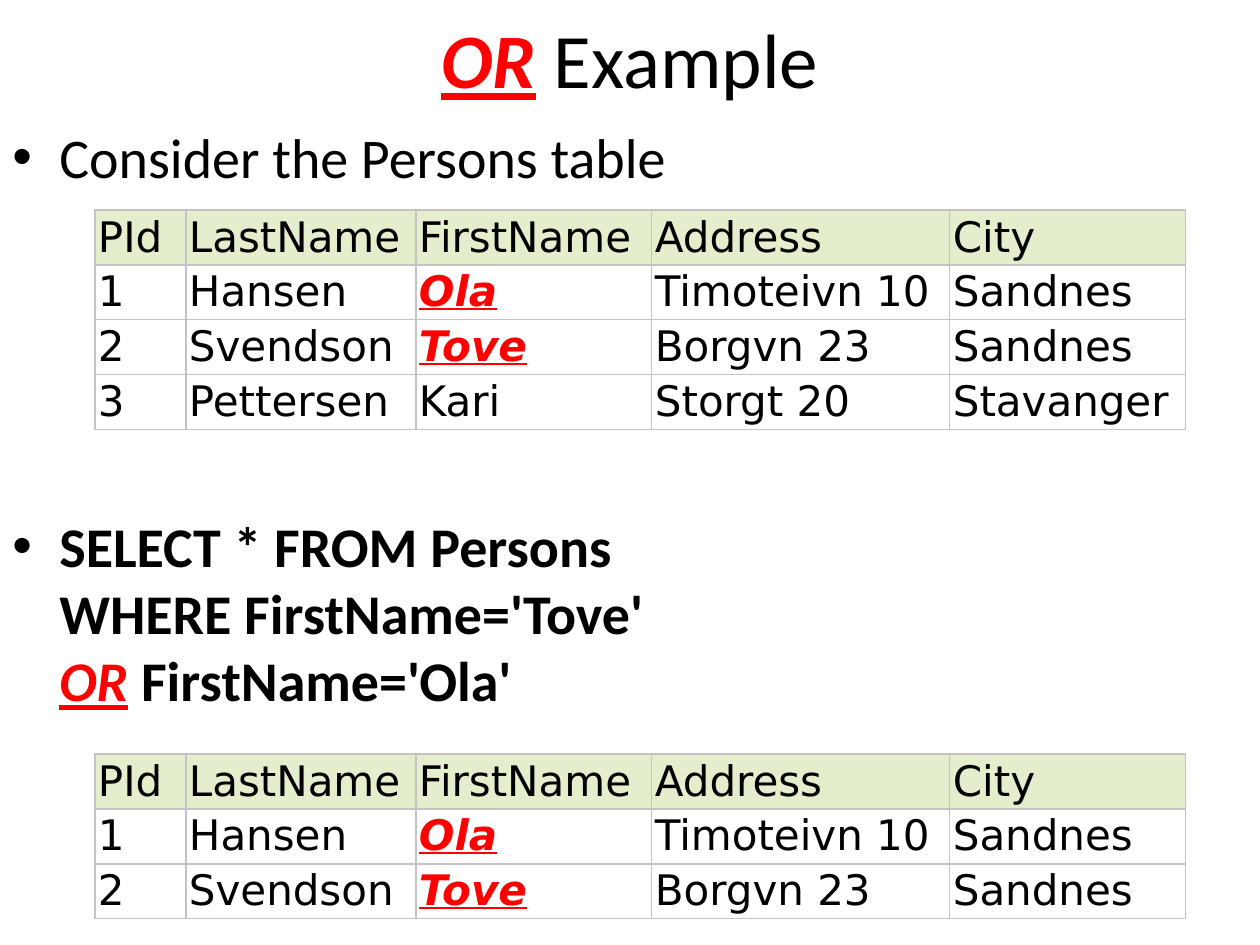
import pptx
import pptx.dml.color
import pptx.enum.text
import pptx.oxml
import pptx.oxml.ns
import pptx.util

EMU_PER_PX = 914400 / 126
HEADER = ["PId", "LastName", "FirstName", "Address", "City"]
OLA = ["1", "Hansen", "|Ola|", "Timoteivn 10", "Sandnes"]
TOVE = ["2", "Svendson", "|Tove|", "Borgvn 23", "Sandnes"]
KARI = ["3", "Pettersen", "Kari", "Storgt 20", "Stavanger"]
COLUMN_WIDTHS = [91, 230, 236, 298, 236]
ROW_HEIGHT = 55


def px(length):
    return pptx.util.Emu(round(length * EMU_PER_PX))


def color(code):
    return pptx.dml.color.RGBColor.from_string(code)


def append_xml(parent, tag, content="", **attributes):
    element = pptx.oxml.parse_xml(
        f'<a:{tag} {pptx.oxml.ns.nsdecls("a")}>{content}</a:{tag}>')
    for name, value in attributes.items():
        element.set(name, str(value))
    parent.append(element)


class SlideBuilder:
    text_font, table_font = "Calibri", "DejaVu Sans"
    ink, accent, border = "000000", "FF0000", "C3C3C3"
    header_fill, body_fill = "E5EECC", "FFFFFF"

    def __init__(self, slide):
        self.slide = slide

    def add_spans(self, para, text, font, size, bold=False):
        """Add text line by line; parts between | marks are emphasised."""
        for number, line in enumerate(text.split("\n")):
            if number:
                para.add_line_break()
            for index, part in enumerate(line.split("|")):
                if not part:
                    continue
                marked = index % 2 == 1
                span = para.add_run()
                span.text = part
                span.font.name = font
                span.font.size = pptx.util.Pt(size)
                span.font.bold = bold or marked
                span.font.italic = span.font.underline = marked
                span.font.color.rgb = color(self.accent if marked else self.ink)

    def place(self, box, left, top, width, height):
        box.left, box.top = px(left), px(top)
        box.width, box.height = px(width), px(height)
        box.text_frame.word_wrap = True
        box.text_frame.auto_size = pptx.enum.text.MSO_AUTO_SIZE.NONE

    def title(self, text, *area):
        box = self.slide.shapes.title
        self.place(box, *area)
        box.text_frame.vertical_anchor = pptx.enum.text.MSO_ANCHOR.MIDDLE
        para = box.text_frame.paragraphs[0]
        para.alignment = pptx.enum.text.PP_ALIGN.CENTER
        self.add_spans(para, text, self.text_font, 44)

    def bullets(self, items, gap, *area):
        """Add (text, bold) items as bullets with gap points between them."""
        box = self.slide.shapes.add_textbox(0, 0, 0, 0)
        self.place(box, *area)
        frame = box.text_frame
        for index, (text, bold) in enumerate(items):
            para = frame.add_paragraph() if index else frame.paragraphs[0]
            if index:
                para.space_before = pptx.util.Pt(gap)
            properties = para._p.get_or_add_pPr()
            properties.set("marL", str(px(47)))
            properties.set("indent", str(-px(47)))
            append_xml(properties, "buClr", f'<a:srgbClr val="{self.ink}"/>')
            append_xml(properties, "buFont", typeface="Arial")
            append_xml(properties, "buChar", char="•")
            self.add_spans(para, text, self.text_font, 32, bold)

    def cell(self, cell, text, fill):
        cell.margin_left = cell.margin_right = px(3)
        cell.margin_top = cell.margin_bottom = px(3)
        properties = cell._tc.get_or_add_tcPr()
        for side in ("lnL", "lnR", "lnT", "lnB"):
            line = f'<a:solidFill><a:srgbClr val="{self.border}"/></a:solidFill>'
            append_xml(properties, side, line, w=pptx.util.Pt(0.75))
        cell.fill.solid()
        cell.fill.fore_color.rgb = color(fill)
        self.add_spans(cell.text_frame.paragraphs[0], text, self.table_font, 24)

    def table(self, rows, left, top):
        table = self.slide.shapes.add_table(
            len(rows), len(COLUMN_WIDTHS), px(left), px(top),
            px(sum(COLUMN_WIDTHS)), px(ROW_HEIGHT * len(rows))).table
        table.first_row = table.horz_banding = False
        for column, width in zip(table.columns, COLUMN_WIDTHS):
            column.width = px(width)
        for row_index, row in enumerate(rows):
            table.rows[row_index].height = px(ROW_HEIGHT)
            fill = self.body_fill if row_index else self.header_fill
            for column_index, text in enumerate(row):
                self.cell(table.cell(row_index, column_index), text, fill)


def main():
    deck = pptx.Presentation()
    deck.slide_width, deck.slide_height = px(1260), px(945)
    page = SlideBuilder(deck.slides.add_slide(deck.slide_layouts[5]))
    page.title("|OR| Example", 0, 0, 1260, 116)
    query = "SELECT * FROM Persons\nWHERE FirstName='Tove'\n|OR| FirstName='Ola'"
    page.bullets([("Consider the Persons table", False), (query, True)],
                 184, 0, 116, 1260, 829)
    page.table([HEADER, OLA, TOVE, KARI], 95, 210)
    page.table([HEADER, OLA, TOVE], 95, 754)
    deck.save("out.pptx")


if __name__ == "__main__":
    main()
